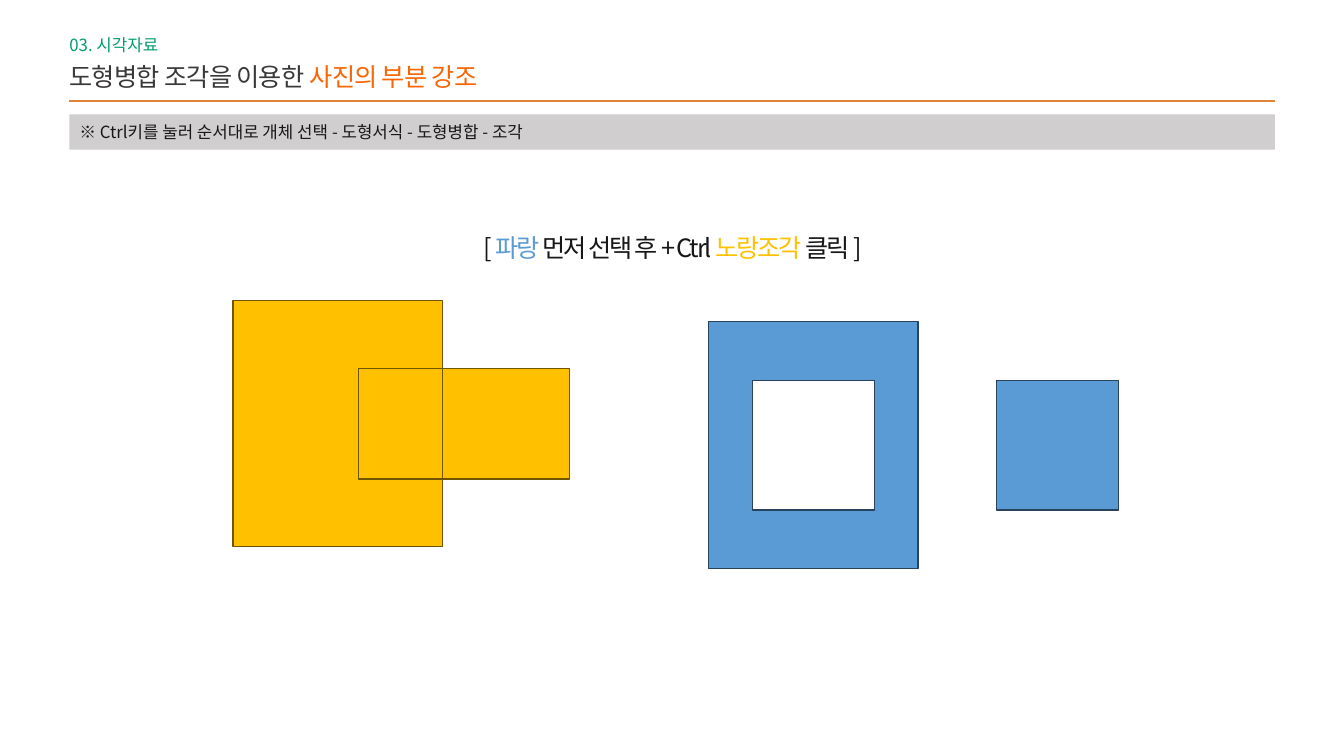
"""Slide on highlighting part of a photo with the merge-shapes fragment tool."""
import pptx
import pptx.util
import pptx.dml.color
import pptx.enum.shapes
import pptx.enum.text
import pptx.oxml.ns
import lxml.etree

Cm = pptx.util.Cm
Pt = pptx.util.Pt
RGBColor = pptx.dml.color.RGBColor
qn = pptx.oxml.ns.qn

FONT = "Noto Sans CJK KR"
GREEN = RGBColor(0x01, 0x9D, 0x6D)
DARK = RGBColor(0x3B, 0x38, 0x38)
BLACK = RGBColor(0x18, 0x17, 0x17)
ORANGE = RGBColor(0xFA, 0x65, 0x02)
RULE = RGBColor(0xE0, 0x83, 0x36)
GRAY = RGBColor(0xD0, 0xCE, 0xCE)
YELLOW = RGBColor(0xFF, 0xC0, 0x00)
YELLOW_EDGE = RGBColor(0x70, 0x54, 0x00)
BLUE = RGBColor(0x5B, 0x9B, 0xD5)
BLUE_EDGE = RGBColor(0x28, 0x44, 0x5D)


def write_runs(paragraph, parts, size, spacing=0):
    for text, color in parts:
        run = paragraph.add_run()
        run.text = text
        run.font.size = Pt(size)
        run.font.name = FONT
        run.font.color.rgb = color
        properties = run.font._element
        lxml.etree.SubElement(properties, qn("a:ea")).set("typeface", FONT)
        if spacing:
            properties.set("spc", str(spacing))


def add_piece(outlines, fill, edge):
    contours = [[(Cm(x), Cm(y)) for x, y in outline] for outline in outlines]
    builder = slide.shapes.build_freeform(*contours[0][0])
    builder.add_line_segments(contours[0][1:], close=True)
    for contour in contours[1:]:
        builder.move_to(*contour[0])
        builder.add_line_segments(contour[1:], close=True)
    piece = builder.convert_to_shape()
    piece.shadow.inherit = False
    piece.fill.solid()
    piece.fill.fore_color.rgb = fill
    piece.line.color.rgb = edge
    piece.line.width = Pt(1)


deck = pptx.Presentation()
deck.slide_width = Cm(33.87)
deck.slide_height = Cm(19.05)
slide = deck.slides.add_slide(deck.slide_layouts[6])

left, right = 1.75, 32.13

section = slide.shapes.add_textbox(Cm(left), Cm(0.76), Cm(2.72), Cm(0.76))
section.text_frame.margin_left = 0
section.text_frame.word_wrap = False
write_runs(section.text_frame.paragraphs[0], [("03. 시각자료", GREEN)], 12)

rule = slide.shapes.add_connector(
    pptx.enum.shapes.MSO_CONNECTOR.STRAIGHT, Cm(left), Cm(2.55), Cm(right), Cm(2.55))
rule.line.color.rgb = RULE
rule.line.width = Pt(1.5)
lxml.etree.SubElement(rule._element.spPr, qn("a:effectLst"))

title = slide.shapes.add_textbox(Cm(left), Cm(1.42), Cm(13.82), Cm(1.02))
title.text_frame.margin_left = 0
title.text_frame.word_wrap = True
write_runs(title.text_frame.paragraphs[0],
           [("도형병합 조각을 이용한 ", DARK), ("사진의 부분 강조", ORANGE)], 18, -50)

steps = slide.shapes.add_shape(
    pptx.enum.shapes.MSO_SHAPE.RECTANGLE, Cm(left), Cm(2.88), Cm(right - left), Cm(0.89))
steps.shadow.inherit = False
steps.fill.solid()
steps.fill.fore_color.rgb = GRAY
steps.line.fill.background()
steps.text_frame.vertical_anchor = pptx.enum.text.MSO_ANCHOR.MIDDLE
steps.text_frame.paragraphs[0].alignment = pptx.enum.text.PP_ALIGN.LEFT
write_runs(steps.text_frame.paragraphs[0],
           [("※ Ctrl키를 눌러 순서대로 개체 선택 - 도형서식 - 도형병합 - 조각", BLACK)], 12)

x1, x2, x3, x4 = 5.87, 9.04, 11.15, 14.36
y1, y2, y3, y4 = 7.57, 9.28, 12.07, 13.77
overlap = [(x2, y2), (x3, y2), (x3, y3), (x2, y3)]
notched = [(x1, y1), (x3, y1), (x3, y2), (x2, y2),
           (x2, y3), (x3, y3), (x3, y4), (x1, y4)]
remainder = [(x3, y2), (x4, y2), (x4, y3), (x3, y3)]
for outline in (overlap, notched, remainder):
    add_piece([outline], YELLOW, YELLOW_EDGE)

caption = slide.shapes.add_textbox(Cm(10.95), Cm(5.74), Cm(11.99), Cm(1.02))
caption.text_frame.word_wrap = True
caption.text_frame.paragraphs[0].alignment = pptx.enum.text.PP_ALIGN.CENTER
write_runs(caption.text_frame.paragraphs[0],
           [("[ ", BLACK), ("파랑", BLUE), (" 먼저 선택 후 + Ctrl ", BLACK),
            ("노랑조각", YELLOW), (" 클릭 ]", BLACK)], 18, -150)

hole = [(18.96, 9.59), (18.96, 12.85), (22.04, 12.85), (22.04, 9.59)]
frame = [(17.86, 8.11), (23.14, 8.11), (23.14, 14.32), (17.86, 14.32)]
cutout = [(x + 6.15, y) for x, y in hole]
add_piece([cutout], BLUE, BLUE_EDGE)
add_piece([frame, hole], BLUE, BLUE_EDGE)

deck.save("out.pptx")
